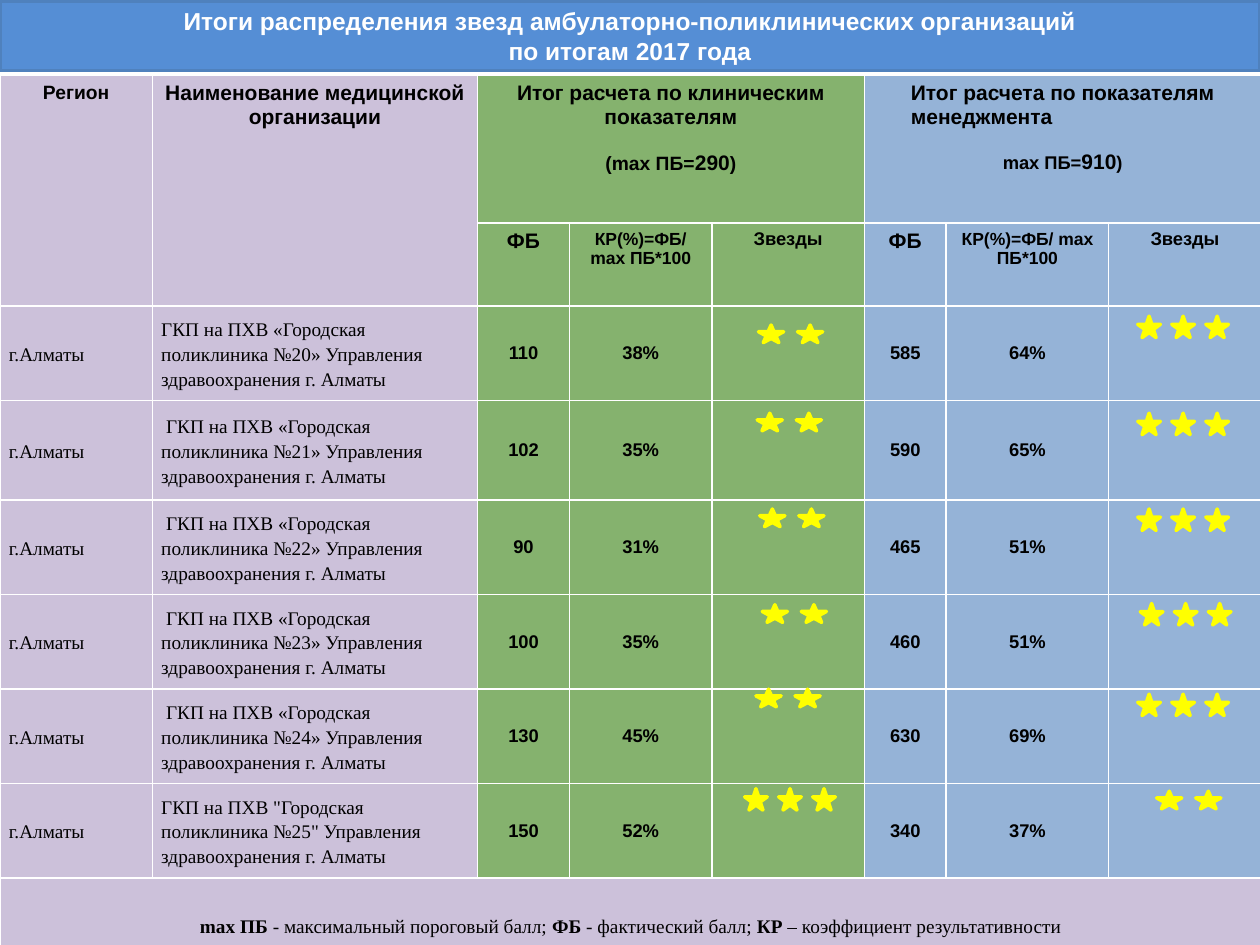
from dataclasses import dataclass

from lxml import etree
from pptx import Presentation
from pptx.dml.color import RGBColor
from pptx.enum.shapes import MSO_SHAPE as Shape
from pptx.enum.text import MSO_ANCHOR as Anchor, MSO_AUTO_SIZE as AutoSize, PP_ALIGN as Align
from pptx.oxml.ns import qn
from pptx.util import Inches, Pt


@dataclass(frozen=True)
class Theme:
    """Colours, fonts and type sizes of the slide."""
    banner: str = "558ED5"
    banner_edge: str = "4F81BD"
    region: str = "CCC1DA"
    clinical: str = "85B26E"
    management: str = "95B3D7"
    star: str = "FFFF00"
    white: str = "FFFFFF"
    black: str = "000000"
    sans: str = "Arial"
    serif: str = "Times New Roman"
    title: float = 14
    heading: float = 12
    body: float = 11
    figure: float = 10.5
    formula: float = 10


@dataclass(frozen=True)
class Box:
    """A rectangle in inches."""
    left: float
    top: float
    width: float
    height: float

    def emu(self):
        """Return the four lengths for python-pptx."""
        return [Inches(v) for v in (self.left, self.top, self.width, self.height)]


@dataclass(frozen=True)
class Rating:
    """Score, percentage and stars, with the offset of the stars in their cell."""
    score: str
    percent: str
    stars: int
    dx: float
    dy: float


THEME = Theme()
COLUMNS = [1.21, 2.58, 0.73, 1.13, 1.21, 0.65, 1.29, 1.21]
ROWS = [1.17, 0.66, 0.75, 0.79] + [0.75] * 5
FILLS = [THEME.region] * 2 + [THEME.clinical] * 3 + [THEME.management] * 3
CLINICS = [
    ("ГКП на ПХВ «Городская поликлиника №20»",
     Rating("110", "38%", 2, 0.37, 0.15), Rating("585", "64%", 3, 0.23, 0.08)),
    (" ГКП на ПХВ «Городская поликлиника №21»",
     Rating("102", "35%", 2, 0.36, 0.1), Rating("590", "65%", 3, 0.23, 0.1)),
    (" ГКП на ПХВ «Городская поликлиника №22»",
     Rating("90", "31%", 2, 0.38, 0.07), Rating("465", "51%", 3, 0.23, 0.07)),
    (" ГКП на ПХВ «Городская поликлиника №23»",
     Rating("100", "35%", 2, 0.4, 0.08), Rating("460", "51%", 3, 0.25, 0.07)),
    (" ГКП на ПХВ «Городская поликлиника №24»",
     Rating("130", "45%", 2, 0.35, 0), Rating("630", "69%", 3, 0.23, 0.04)),
    ('ГКП на ПХВ "Городская поликлиника №25"',
     Rating("150", "52%", 3, 0.26, 0.04), Rating("340", "37%", 2, 0.38, 0.06)),
]


def write(paragraph, text, *, size, font=THEME.sans, bold=True, color=THEME.black,
          align=Align.CENTER, spacing=None, before=None):
    """Add a formatted run to the paragraph."""
    paragraph.alignment = align
    if spacing is not None:
        paragraph.line_spacing = spacing
    if before is not None:
        paragraph.space_before = Pt(before)
    run = paragraph.add_run()
    run.text = text
    run.font.size, run.font.name, run.font.bold = Pt(size), font, bold
    run.font.color.rgb = RGBColor.from_string(color)


def paint(shape, fill, edge):
    """Give a shape its fill and a two-point outline."""
    shape.fill.solid()
    shape.fill.fore_color.rgb = RGBColor.from_string(fill)
    shape.line.color.rgb = RGBColor.from_string(edge)
    shape.line.width = Pt(2)


def add_banner(slide, box):
    """Place the title band."""
    banner = slide.shapes.title
    banner.left, banner.top, banner.width, banner.height = box.emu()
    paint(banner, THEME.banner, THEME.banner_edge)
    frame = banner.text_frame
    frame.auto_size, frame.vertical_anchor = AutoSize.NONE, Anchor.MIDDLE
    look = dict(size=THEME.title, color=THEME.white)
    heading = frame.paragraphs[0]
    write(heading, "Итоги распределения звезд амбулаторно-поликлинических организаций", **look)
    heading.add_line_break()
    write(heading, "по итогам 2017 года", **look)


def style_cell(cell, fill):
    """Give a cell thin white borders and its fill."""
    properties = cell._tc.get_or_add_tcPr()
    for side in ("a:lnL", "a:lnR", "a:lnT", "a:lnB"):
        border = etree.SubElement(properties, qn(side), w=str(Pt(1)))
        solid = etree.SubElement(border, qn("a:solidFill"))
        etree.SubElement(solid, qn("a:srgbClr"), val=THEME.white)
    cell.fill.solid()
    cell.fill.fore_color.rgb = RGBColor.from_string(fill)


def set_insets(cell, side):
    """Centre the cell vertically, with side insets only."""
    cell.vertical_anchor = Anchor.MIDDLE
    cell.margin_left = cell.margin_right = Inches(side)
    cell.margin_top = cell.margin_bottom = 0


def fill_header(table):
    """Fill the two header rows."""
    for column, text, size in ((0, "Регион", THEME.body),
                               (1, "Наименование медицинской организации", THEME.heading)):
        table.cell(0, column).merge(table.cell(1, column))
        write(table.cell(0, column).text_frame.paragraphs[0], text, size=size)
    groups = (
        (2, "Итог расчета по клиническим показателям", "(mах ПБ=", "290", THEME.body, Align.CENTER, 0),
        (5, "Итог расчета по показателям менеджмента", "mах ПБ=", "910", THEME.figure, Align.LEFT, 0.27),
    )
    for column, heading, label, limit, size, align, indent in groups:
        table.cell(0, column).merge(table.cell(0, column + 2))
        frame = table.cell(0, column).text_frame
        first = frame.paragraphs[0]
        first._p.get_or_add_pPr().set("marL", str(Inches(indent)))
        write(first, heading, size=THEME.heading, align=align)
        maximum = frame.add_paragraph()
        write(maximum, label, size=size, before=size + 2)
        write(maximum, limit, size=THEME.heading)
        write(maximum, ")", size=size)
        labels = (("ФБ", THEME.heading), ("КР(%)=ФБ/ mах ПБ*100", THEME.formula),
                  ("Звезды", THEME.figure))
        for offset, (text, text_size) in enumerate(labels):
            write(table.cell(1, column + offset).text_frame.paragraphs[0], text, size=text_size)


def fill_clinic(table, row, name, ratings):
    """Fill the row of one clinic."""
    for column, text in enumerate(("г.Алматы", f"{name} Управления здравоохранения г. Алматы")):
        cell = table.cell(row, column)
        set_insets(cell, 0.07)
        write(cell.text_frame.paragraphs[0], text, size=THEME.body, font=THEME.serif,
              bold=False, align=Align.LEFT, spacing=1.15)
    for start, rating in zip((2, 5), ratings):
        for column, text in enumerate((rating.score, rating.percent), start):
            cell = table.cell(row, column)
            set_insets(cell, 0)
            write(cell.text_frame.paragraphs[0], text, size=THEME.figure)


def fill_legend(table, row):
    """Fill the closing row with the abbreviations."""
    table.cell(row, 0).merge(table.cell(row, len(COLUMNS) - 1))
    cell = table.cell(row, 0)
    set_insets(cell, 0.07)
    parts = ("mах ПБ ", "- максимальный пороговый балл; ", "ФБ", " - фактический балл; ",
             "КР", " – коэффициент результативности")
    for index, text in enumerate(parts):
        write(cell.text_frame.paragraphs[0], text, size=THEME.body, font=THEME.serif,
              bold=index % 2 == 0, spacing=1.15)


def add_stars(slide, box, rating):
    """Place a group of stars within a table cell."""
    width, height, step = (0.18, 0.17, 0.27) if rating.stars == 3 else (0.2, 0.14, 0.31)
    group = slide.shapes.add_group_shape()
    for index in range(rating.stars):
        place = Box(box.left + rating.dx + index * step, box.top + rating.dy, width, height)
        star = group.shapes.add_shape(Shape.STAR_5_POINT, *place.emu())
        star.shadow.inherit = False
        paint(star, THEME.star, THEME.star)


def add_ratings(slide, box):
    """Place the table of clinics and its stars."""
    table = slide.shapes.add_table(len(ROWS), len(COLUMNS), *box.emu()).table
    table.first_row = table.horz_banding = False
    for column, width in zip(table.columns, COLUMNS):
        column.width = Inches(width)
    for index, height in enumerate(ROWS):
        table.rows[index].height = Inches(height)
        for column, fill in enumerate(FILLS):
            style_cell(table.cell(index, column), THEME.region if index == len(ROWS) - 1 else fill)
    fill_header(table)
    fill_legend(table, len(ROWS) - 1)
    for row, (name, *ratings) in enumerate(CLINICS, 2):
        fill_clinic(table, row, name, ratings)
        for column, rating in zip((4, 7), ratings):
            cell_box = Box(box.left + sum(COLUMNS[:column]), box.top + sum(ROWS[:row]),
                           COLUMNS[column], ROWS[row])
            add_stars(slide, cell_box, rating)


def main():
    """Build the slide and save it."""
    deck = Presentation()
    deck.slide_width, deck.slide_height = Inches(10), Inches(7.5)
    slide = deck.slides.add_slide(deck.slide_layouts[5])
    add_banner(slide, Box(0, 0.01, 10, 0.55))
    add_ratings(slide, Box(0, 0.6, 10, 6.9))
    deck.save("out.pptx")


if __name__ == "__main__":
    main()
